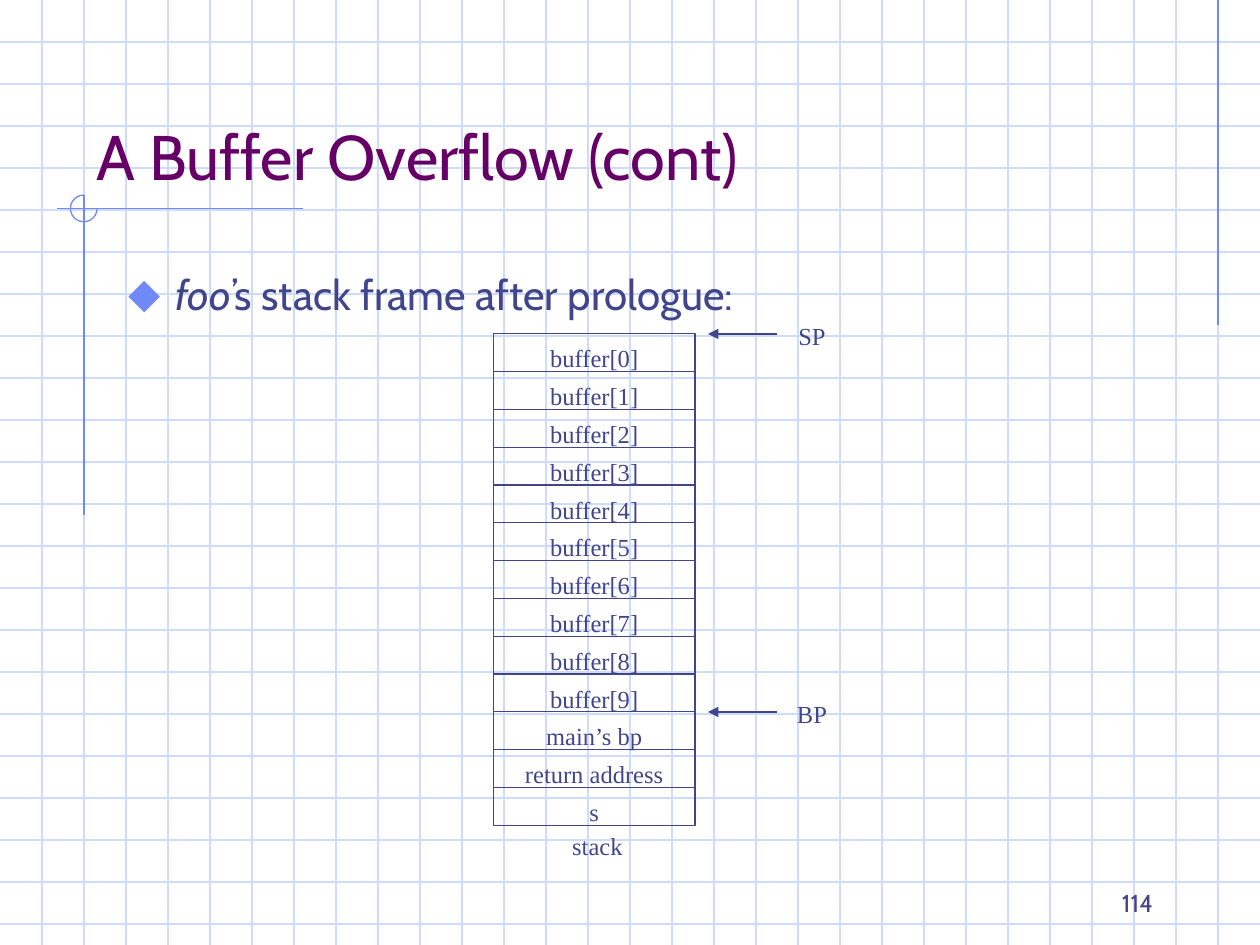
from pptx import Presentation
from pptx.dml.color import RGBColor as RGB
from pptx.enum.shapes import MSO_CONNECTOR as Conn, MSO_SHAPE as Shape
from pptx.enum.text import MSO_ANCHOR as Anchor, MSO_AUTO_SIZE as Auto, PP_ALIGN as Align
from pptx.oxml.ns import qn
from pptx.util import Pt
from lxml.etree import SubElement as Sub

GRID = RGB(0xCF, 0xDB, 0xFD)
BLUE = RGB(0x6F, 0x89, 0xF7)
INK = RGB(0x40, 0x45, 0x8C)
PLUM = RGB(0x66, 0x00, 0x66)
SANS, SERIF = "Cabin", "Times New Roman"
WIDE, HIGH = 720, 540
CELLS = [f"buffer[{i}]" for i in range(10)] + ["main’s bp", "return address", "s"]


def style(para, font, size, color, align):
    para.alignment = align
    para.space_before = Pt(0)
    para.font.name, para.font.size = font, Pt(size)
    para.font.color.rgb = color


def line(slide, x1, y1, x2, y2, color, arrow=False):
    link = slide.shapes.add_connector(Conn.STRAIGHT, Pt(x1), Pt(y1), Pt(x2), Pt(y2))
    link.line.color.rgb = color
    link.line.width = Pt(0.75)
    if arrow:
        Sub(link.line._get_or_add_ln(), qn("a:tailEnd"), type="triangle")
    Sub(link.element.spPr, qn("a:effectLst"))


def outline(slide, kind, x, y, w, h, color):
    shape = slide.shapes.add_shape(kind, Pt(x), Pt(y), Pt(w), Pt(h))
    shape.shadow.inherit = False
    shape.fill.background()
    shape.line.color.rgb = color
    shape.line.width = Pt(0.75)
    return shape


def label(slide, text, x, y, w, h, font=SERIF, align=Align.CENTER, anchor=Anchor.TOP):
    frame = slide.shapes.add_textbox(Pt(x), Pt(y), Pt(w), Pt(h)).text_frame
    frame.word_wrap = True
    frame.vertical_anchor = anchor
    frame.text = text
    style(frame.paragraphs[0], font, 14, INK, align)


def paper(slide, w, h, step=24):
    # Squared paper
    for y in range(step, h, step):
        line(slide, 0, y, w, y, GRID)
    for x in range(step, w, step):
        line(slide, x, 0, x, h, GRID)
    # Accent lines and the open ring where they cross
    line(slide, w - step, 0, w - step, 186, BLUE)
    line(slide, 173, 119.25, 32.5, 119.25, BLUE)
    line(slide, 48, 111.5, 48, 294.5, BLUE)
    ring = outline(slide, Shape.ARC, 40.25, 111.5, 15.25, 15.25, BLUE)
    # Arc angles are in units of 100000/60000 degree: 0 to 270 degrees
    ring.adjustments[0], ring.adjustments[1] = 0, 162


def place(holder, x, y, w, h, anchor):
    # Lift the placeholder above the paper
    holder.element.getparent().append(holder.element)
    holder.left, holder.top, holder.width, holder.height = Pt(x), Pt(y), Pt(w), Pt(h)
    frame = holder.text_frame
    frame.auto_size = Auto.NONE
    frame.vertical_anchor = anchor
    return frame


def heading(slide, x, y, w, h):
    frame = place(slide.shapes.title, x, y, w, h, Anchor.BOTTOM)
    frame.text = "A Buffer Overflow (cont)"
    style(frame.paragraphs[0], SANS, 36, PLUM, Align.LEFT)


def points(slide, x, y, w, h):
    frame = place(slide.placeholders[1], x, y, w, h, Anchor.TOP)
    para = frame.paragraphs[0]
    # Diamond bullet with a hanging indent
    props = para._p.get_or_add_pPr()
    props.set("marL", str(Pt(27)))
    props.set("indent", str(-Pt(27)))
    Sub(Sub(props, qn("a:buClr")), qn("a:srgbClr"), val=str(BLUE))
    Sub(props, qn("a:buSzPct"), val="110000")
    Sub(props, qn("a:buChar"), char="⬥")
    style(para, SANS, 24, INK, Align.LEFT)
    name = para.add_run()
    name.text = "foo"
    name.font.italic = True
    para.add_run().text = "’s stack frame after prologue:"


def stack(slide, x, y, w, row):
    # Memory cells
    for i, text in enumerate(CELLS):
        cell = outline(slide, Shape.RECTANGLE, x, y + i * row, w, row, INK)
        frame = cell.text_frame
        frame.vertical_anchor = Anchor.TOP
        frame.margin_top, frame.margin_bottom = Pt(5.5), 0
        frame.text = text
        style(frame.paragraphs[0], SERIF, 14, INK, Align.CENTER)
    label(slide, "stack", x, y + len(CELLS) * row, w + 3.6, 24.5)
    # Pointers to cell tops
    for text, i in (("SP", 0), ("BP", 10)):
        top = y + i * row
        label(slide, text, x + w + 43.4, top - 10.8, 46.8, 24.5)
        line(slide, x + w + 47, top, x + w + 7.4, top, INK, arrow=True)


def main():
    deck = Presentation()
    deck.slide_width, deck.slide_height = Pt(WIDE), Pt(HIGH)
    slide = deck.slides.add_slide(deck.slide_layouts[1])
    paper(slide, WIDE, HIGH)
    heading(slide, 48, 24, 612, 90)
    points(slide, 66, 150, 612, 324)
    stack(slide, 282, 190.8, 115.2, 21.6)
    # Page number
    label(slide, "114", 516, 492, 150, 36, SANS, Align.RIGHT, Anchor.BOTTOM)
    deck.save("out.pptx")


if __name__ == "__main__":
    main()
